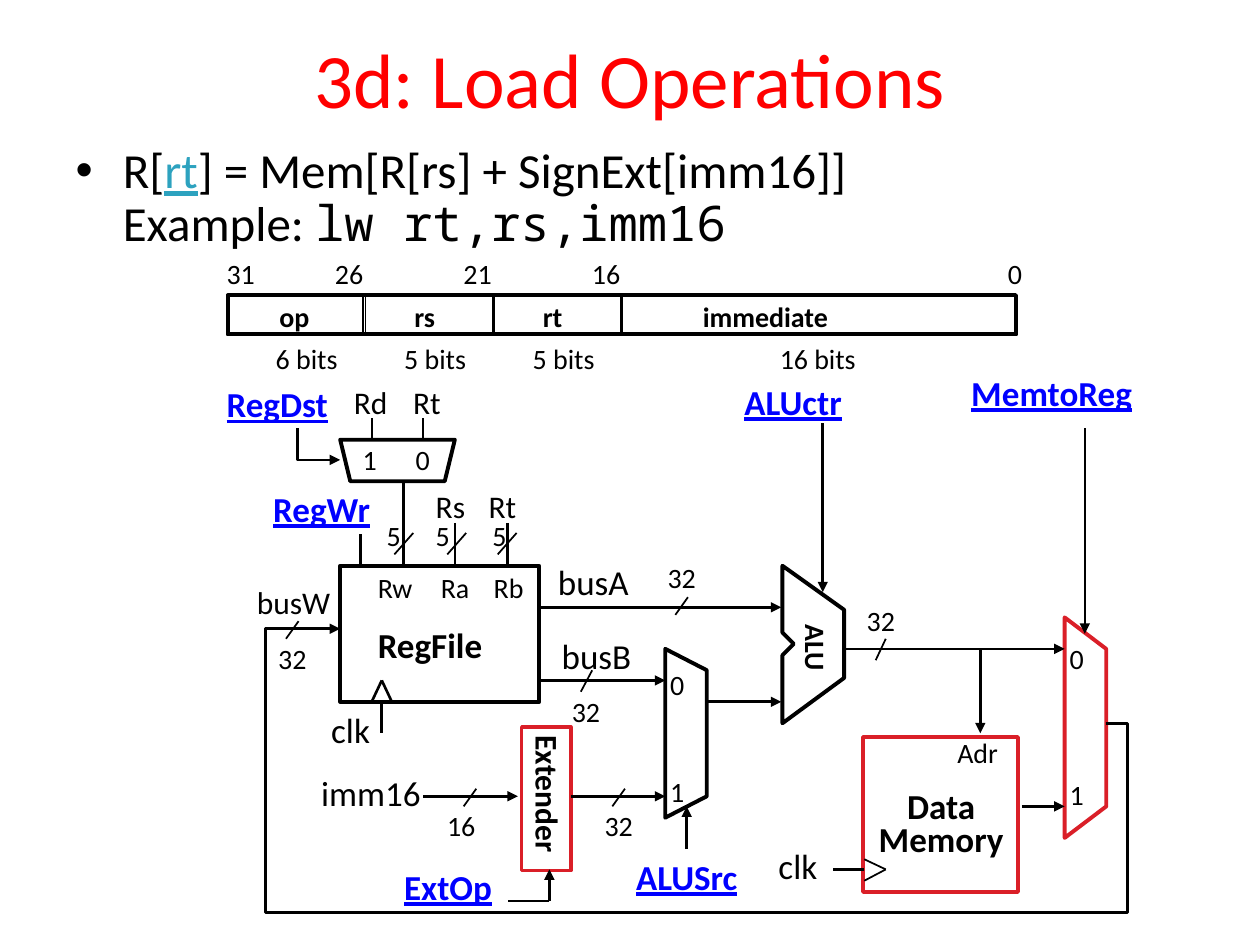
from dataclasses import dataclass
from lxml.etree import SubElement
from pptx import Presentation
from pptx.dml.color import RGBColor
from pptx.enum.shapes import MSO_CONNECTOR, MSO_SHAPE
from pptx.enum.text import MSO_ANCHOR, MSO_AUTO_SIZE, PP_ALIGN
from pptx.oxml.ns import qn
from pptx.slide import Slide
from pptx.util import Inches, Pt

BLACK, RED, BLUE, TEAL = "000000", "DA1F28", "0000FF", "2DA2BF"
LABEL_HEIGHT = {16: 0.37, 18: 0.4, 20: 0.43}


def color(value):
    return RGBColor.from_string(value)


def write(para, text, size=16, ink=BLACK, font="Calibri", bold=False, underline=False):
    span = para.add_run()
    span.text = text
    span.font.size = Pt(size)
    span.font.name = font
    span.font.bold = bold
    span.font.underline = underline
    span.font.color.rgb = color(ink)


@dataclass
class Diagram:
    page: Slide

    def place(self, shape, left, top, width, height):
        shape.left, shape.top = Inches(left), Inches(top)
        shape.width, shape.height = Inches(width), Inches(height)

    def stroke(self, shape, ink, weight, arrow=False):
        shape.line.color.rgb = color(ink)
        shape.line.width = Pt(weight)
        if arrow:
            line = shape._element.spPr.find(qn("a:ln"))
            SubElement(line, qn("a:tailEnd"), type="triangle")

    def label(self, text, left, top, width, size=16, height=None, rotation=0,
              centered=False, line_spacing=None, **style):
        box = self.page.shapes.add_textbox(0, 0, 0, 0)
        self.place(box, left, top, width, height or LABEL_HEIGHT[size])
        box.rotation = rotation
        frame = box.text_frame
        frame.word_wrap = False
        frame.auto_size = MSO_AUTO_SIZE.SHAPE_TO_FIT_TEXT
        for index, line in enumerate(text.split("\n")):
            para = frame.add_paragraph() if index else frame.paragraphs[0]
            para.alignment = PP_ALIGN.CENTER if centered else PP_ALIGN.LEFT
            if line_spacing:
                para.line_spacing = line_spacing
            write(para, line, size, **style)

    def control(self, text, left, top, width):
        """Label a control signal."""
        self.label(text, left, top, width, 20, ink=BLUE, bold=True, underline=True)

    def block(self, left, top, width, height, ink=BLACK, weight=2.25):
        shape = self.page.shapes.add_shape(MSO_SHAPE.RECTANGLE, 0, 0, 0, 0)
        self.place(shape, left, top, width, height)
        shape.shadow.inherit = False
        shape.fill.background()
        self.stroke(shape, ink, weight)

    def outline(self, points, ink=BLACK, weight=2.25, closed=True, arrow=False):
        corners = [(Inches(x), Inches(y)) for x, y in points]
        builder = self.page.shapes.build_freeform(*corners[0], scale=1.0)
        builder.add_line_segments(corners[1:], close=closed)
        shape = builder.convert_to_shape()
        shape.shadow.inherit = False
        shape.fill.background()
        self.stroke(shape, ink, weight, arrow)

    def wire(self, x1, y1, x2, y2, weight=1.5, arrow=False):
        line = self.page.shapes.add_connector(
            MSO_CONNECTOR.STRAIGHT, Inches(x1), Inches(y1), Inches(x2), Inches(y2))
        self.stroke(line, BLACK, weight, arrow)
        SubElement(line._element.spPr, qn("a:effectLst"))

    def mux(self, left, top, bottom, slant, ink=BLACK):
        right = left + 0.33
        self.outline([(left, top), (left, bottom), (right, bottom - slant),
                      (right, top + slant)], ink)


def add_heading(diagram):
    title, body = diagram.page.placeholders
    diagram.place(title, 0.5, -0.01, 9, 1.25)
    title.text_frame.vertical_anchor = MSO_ANCHOR.MIDDLE
    para = title.text_frame.paragraphs[0]
    para.alignment = PP_ALIGN.CENTER
    write(para, "3d: Load Operations", 44, "FF0000")

    diagram.place(body, 0.5, 1.11, 9, 4.95)
    para = body.text_frame.paragraphs[0]
    para.line_spacing = 0.9
    write(para, "R[", 28)
    write(para, "rt", 28, TEAL, underline=True)
    write(para, "] = Mem[R[rs] + SignExt[imm16]]", 28)
    para.add_line_break()
    write(para, "Example: ", 28)
    write(para, "lw rt,rs,imm16", 28, font="Noto Sans Mono")


def add_instruction_format(diagram):
    diagram.block(1.81, 2.34, 6.25, 0.31, weight=2)
    fields = [  # name, cell left and width, name left and width
        ("op", 1.8, 1.08, 2.12, 0.44), ("rs", 2.9, 1.01, 3.19, 0.37),
        ("rt", 3.92, 1.01, 4.21, 0.37), ("immediate", 4.94, 3.13, 5.48, 1.21)]
    for name, left, width, name_left, name_width in fields:
        diagram.block(left, 2.34, width, 0.32, weight=1)
        diagram.label(name, name_left, 2.33, name_width, bold=True)
    for bit, left in [("31", 1.7), ("26", 2.56), ("21", 3.58), ("16", 4.6), ("0", 7.9)]:
        diagram.label(bit, left, 1.99, 0.43 if len(bit) == 2 else 0.31)
    for bits, left, width in [("6 bits", 2.09, 0.7), ("5 bits", 3.11, 0.7),
                              ("5 bits", 4.13, 0.7), ("16 bits", 6.09, 0.81)]:
        diagram.label(bits, left, 2.66, width)


def add_units(diagram):
    diagram.outline([(2.7, 3.49), (2.78, 3.82), (3.53, 3.82), (3.61, 3.49)])
    diagram.block(2.7, 4.49, 1.58, 1.08)
    diagram.label("RegFile", 2.9, 4.9, 1.04, 20, bold=True)
    diagram.block(4.14, 5.77, 0.39, 1.14, RED, 2)
    diagram.label("Extender", 3.76, 6.13, 1.18, 18, rotation=90, bold=True)
    diagram.mux(5.28, 5.15, 6.49, 0.17)
    diagram.mux(8.45, 4.9, 6.65, 0.25, RED)
    diagram.outline([(6.21, 4.49), (6.21, 5.02), (6.3, 5.11), (6.21, 5.2),
                     (6.21, 5.74), (6.7, 5.38), (6.7, 4.84)])
    diagram.label("ALU", 6.18, 4.97, 0.59, rotation=90, bold=True)
    diagram.block(6.85, 5.85, 1.23, 1.23, RED)
    diagram.label("Data\nMemory", 6.87, 6.24, 1.2, 20, height=0.65,
                  centered=True, line_spacing=0.8, bold=True)


def add_labels(diagram):
    for name, left, top, width in [
            ("RegDst", 1.7, 2.99, 1.03), ("RegWr", 2.07, 3.82, 0.99),
            ("ALUctr", 5.81, 2.97, 1.14), ("MemtoReg", 7.61, 2.9, 1.49),
            ("ALUSrc", 4.95, 6.74, 1.04), ("ExtOp", 3.11, 6.82, 0.9)]:
        diagram.control(name, left, top, width)
    for name, left, top, width, size in [
            ("busA", 4.33, 4.4, 0.78, 20), ("busB", 4.36, 4.99, 0.77, 20),
            ("busW", 1.94, 4.58, 0.79, 18), ("imm16", 2.45, 6.07, 1, 20),
            ("clk", 2.53, 5.57, 0.51, 20), ("clk", 6.08, 6.65, 0.51, 20),
            ("Rd", 2.71, 2.99, 0.47, 18), ("Rt", 3.18, 2.99, 0.43, 18),
            ("Rs", 3.36, 3.82, 0.44, 18), ("Rt", 3.78, 3.82, 0.43, 18),
            ("Rw", 2.9, 4.48, 0.48, 16), ("Ra", 3.4, 4.48, 0.44, 16),
            ("Rb", 3.82, 4.48, 0.46, 16), ("Adr", 7.5, 5.79, 0.54, 16)]:
        diagram.label(name, left, top, width, size)
    for width, left, top in [("32", 2.11, 5.04), ("32", 5.2, 4.4), ("32", 4.44, 5.46),
                             ("32", 6.78, 4.74), ("32", 4.7, 6.37), ("16", 3.45, 6.37)]:
        diagram.label(width, left, top, 0.43)
    for digit, left, top in [("1", 2.78, 3.46), ("0", 3.2, 3.46), ("0", 5.22, 5.25),
                             ("1", 5.22, 6.1), ("0", 8.39, 5.04), ("1", 8.39, 6.12),
                             ("5", 2.97, 4.07), ("5", 3.36, 4.07), ("5", 3.81, 4.07)]:
        diagram.label(digit, left, top, 0.31)


def add_wires(diagram):
    for x1, y1, x2, y2 in [
            (8.61, 3.4, 8.61, 5.03), (6.53, 3.36, 6.53, 4.7), (4.28, 4.82, 6.2, 4.82),
            (4.28, 5.4, 5.28, 5.4), (5.61, 5.57, 6.2, 5.57), (4.53, 6.32, 5.28, 6.32),
            (3.36, 6.32, 4.11, 6.32), (4.36, 7.15, 4.36, 6.9), (5.45, 6.74, 5.45, 6.4),
            (6.7, 5.15, 8.45, 5.15), (7.78, 5.15, 7.78, 5.82), (8.11, 6.4, 8.45, 6.4)]:
        diagram.wire(x1, y1, x2, y2, arrow=True)
    for x, top in [(2.86, 4.24), (3.2, 3.82), (3.61, 4.15), (4.03, 4.15)]:
        diagram.wire(x, top, x, 4.49)
    for x in (2.95, 3.36):
        diagram.wire(x, 3.32, x, 3.49, weight=1)
    diagram.wire(4.36, 7.15, 4.03, 7.15, weight=1)

    # Slashes that mark bus widths: left, top, width, height
    for left, top, width, height in [
            (2.27, 4.93, 0.1, 0.14), (5.36, 4.74, 0.1, 0.14), (4.86, 6.26, 0.1, 0.14),
            (3.68, 6.26, 0.1, 0.14), (4.61, 5.32, 0.09, 0.17), (6.95, 5.07, 0.08, 0.17),
            (3.13, 4.23, 0.15, 0.17), (3.55, 4.23, 0.15, 0.17), (3.95, 4.23, 0.15, 0.17)]:
        diagram.wire(left, top + height, left + width, top, weight=1)

    # Clock inputs of the register file and the data memory
    for x in (2.95, 3.11):
        diagram.wire(3.03, 5.4, x, 5.57)
    diagram.wire(3.03, 5.57, 3.03, 5.82)
    for y in (6.82, 6.99):
        diagram.wire(6.86, y, 7.03, 6.9, weight=1)
    diagram.wire(6.86, 6.9, 6.61, 6.9)

    select = [(2.36, 3.4), (2.36, 3.65), (2.7, 3.65)]
    write_back = [(8.78, 5.74), (8.95, 5.74), (8.95, 7.24),
                  (2.11, 7.24), (2.11, 4.99), (2.7, 4.99)]
    for route in (select, write_back):
        diagram.outline(route, weight=1.5, closed=False, arrow=True)


def main():
    deck = Presentation()
    deck.slide_width, deck.slide_height = Inches(10), Inches(7.5)
    diagram = Diagram(deck.slides.add_slide(deck.slide_layouts[1]))
    add_heading(diagram)
    add_instruction_format(diagram)
    add_units(diagram)
    add_labels(diagram)
    add_wires(diagram)
    deck.save("out.pptx")


if __name__ == "__main__":
    main()
